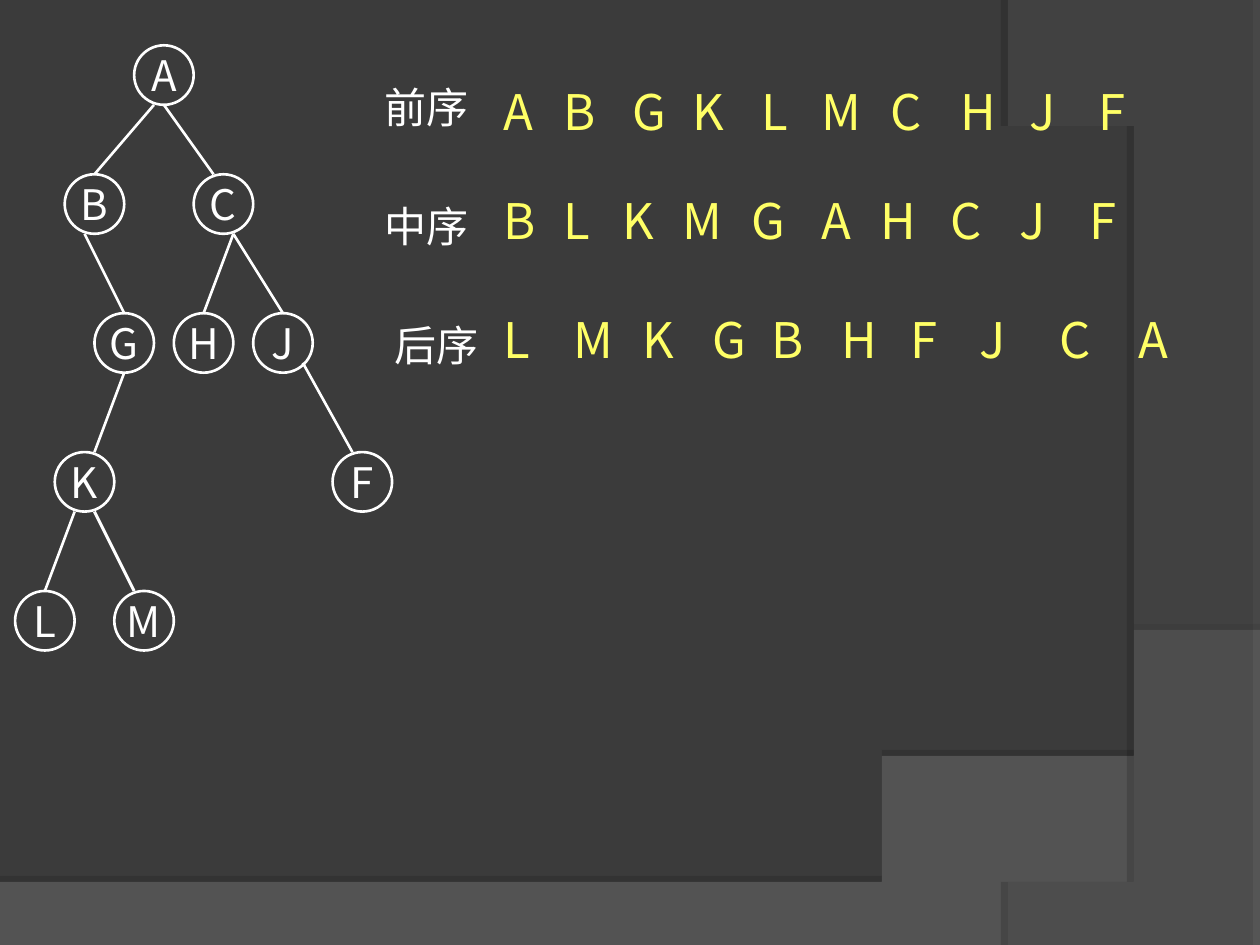
from itertools import accumulate
from lxml import etree
from pptx import Presentation, util as u
from pptx.dml.color import RGBColor
from pptx.enum import shapes, text
from pptx.oxml.ns import qn

COLORS = {"bg": "3B3B3B", "white": "FFFFFF", "yellow": "FFFF66",
          "hill": "7C7C7C", "side": "595959", "shadow": "000000"}
RGB = {name: RGBColor.from_string(value) for name, value in COLORS.items()}
JP, SC = "Noto Sans CJK JP", "Noto Sans CJK SC"
CELL = u.Mm(2)
LEFT, TOP = u.Inches(0.12), u.Inches(0.36)
NODE = 6


def place(col, row):
    return int(LEFT + col * CELL), int(TOP + row * CELL)


def write(sp, words, size, color, font):
    p = sp.text_frame.paragraphs[0]
    r = p.add_run()
    r.text = words
    r.font.size = u.Pt(size)
    r.font.name = font
    r.font.color.rgb = RGB[color]
    etree.SubElement(r.font._element, qn("a:ea"), typeface=font)
    return p


prs = Presentation()
prs.slide_width, prs.slide_height = u.Inches(10), u.Inches(7.5)
s = prs.slides.add_slide(prs.slide_layouts[6])
master = prs.slide_master
master.background.fill.solid()
master.background.fill.fore_color.rgb = RGB["bg"]

panels = [
    ("hill", 45, [(0, 7.05), (0, 7.51), (10, 7.51), (10, 5.2)],
     [(10, 5.2), (5.59, 7.29), (3.91, 7.19), (0, 7.05)], 27, 3.5, 270),
    ("side", 40, [(10, 0.02), (10, 7.5), (8.21, 7.5)],
     [(8.21, 7.5), (9.35, 6.19), (10.18, 3), (8, 0)], 37, 4, 180),
]
STEPS = 60
for n, (color, alpha, corners, curve, shade, dist, angle) in enumerate(panels):
    points = list(corners)
    for i in range(1, STEPS + 1):
        t = i / STEPS
        weights = ((1 - t) ** 3, 3 * t * (1 - t) ** 2, 3 * t * t * (1 - t), t ** 3)
        points.append(tuple(sum(w * c[axis] for w, c in zip(weights, curve))
                            for axis in (0, 1)))
    fb = s.shapes.build_freeform(*points[0], scale=u.Inches(1))
    fb.add_line_segments(points[1:], close=True)
    sp = fb.convert_to_shape()
    sp.fill.solid()
    sp.fill.fore_color.rgb = RGB[color]
    fill = sp._element.spPr.find(".//" + qn("a:srgbClr"))
    etree.SubElement(fill, qn("a:alpha"), val=str(alpha * 1000))
    sp.line.fill.background()
    sp.shadow.inherit = False
    effects = sp._element.spPr.find(qn("a:effectLst"))
    shadow = etree.SubElement(effects, qn("a:outerShdw"), blurRad="0",
                              dist=str(u.Pt(dist)), dir=str(angle * 60000),
                              algn="ctr", rotWithShape="0")
    tint = etree.SubElement(shadow, qn("a:srgbClr"), val=COLORS["shadow"])
    etree.SubElement(tint, qn("a:alpha"), val=str(shade * 1000))
    master.shapes._spTree.insert(2 + n, sp._element)

nodes = {"A": (12, 0), "B": (5, 13), "C": (18, 13), "G": (8, 27), "H": (16, 27),
         "J": (24, 27), "K": (4, 41), "F": (32, 41), "L": (0, 55), "M": (10, 55)}
tops = {}
for name, (col, row) in nodes.items():
    sp = s.shapes.add_shape(shapes.MSO_SHAPE.OVAL, *place(col, row), NODE * CELL, NODE * CELL)
    sp.shadow.inherit = False
    sp.fill.solid()
    sp.fill.fore_color.rgb = RGB["bg"]
    sp.line.color.rgb = RGB["white"]
    sp.line.width = u.Pt(1.5)
    tf = sp.text_frame
    tf.word_wrap = False
    tf.vertical_anchor = text.MSO_ANCHOR.MIDDLE
    p = write(sp, name, 24, "white", SC if name == "L" else JP)
    p.alignment = text.PP_ALIGN.CENTER
    tops[col + NODE / 2, row] = sp

edges = [((14, 6), (8, 13)), ((15, 6), (20, 13)), ((29, 32), (34, 41)),
         ((7, 19), (11, 27)), ((22, 19), (27, 27)), ((11, 33), (8, 41)),
         ((22, 19), (19, 27)), ((6, 47), (3, 55)), ((8, 47), (12, 55))]
for start, end in edges:
    line = s.shapes.add_connector(shapes.MSO_CONNECTOR.STRAIGHT, *place(*start), *place(*end))
    line.line.color.rgb = RGB["white"]
    line.line.width = u.Pt(1.75 if end == (12, 55) else 1.5)
    etree.SubElement(line._element.spPr, qn("a:effectLst"))
    if end in tops:
        line.end_connect(tops[end], 0)

orders = [
    ("前序", 36, 3, 3, "ABGKLMCHJF", (6, 7, 6, 7, 6, 7, 7, 7, 7)),
    ("中序", 36, 15, 14, "BLKMGAHCJF", (6, 6, 6, 7, 7, 6, 7, 7, 7)),
    ("后序", 37, 27, 26, "LMKGBHFJCA", (7, 7, 7, 6, 7, 7, 7, 8, 8)),
]
boxes = []
for label, col, label_row, row, letters, gaps in orders:
    boxes.append((label, col, label_row, 26, 0.5, 24, "white", SC))
    for letter, x in zip(letters, accumulate(gaps, initial=48)):
        boxes.append((letter, x, row, NODE, 0.57, 28, "yellow", JP))
for words, col, row, width, height, size, color, font in boxes:
    sp = s.shapes.add_textbox(*place(col, row), width * CELL, u.Inches(height))
    sp.text_frame.word_wrap = True
    sp.text_frame.auto_size = text.MSO_AUTO_SIZE.SHAPE_TO_FIT_TEXT
    write(sp, words, size, color, font)

prs.save("out.pptx")
